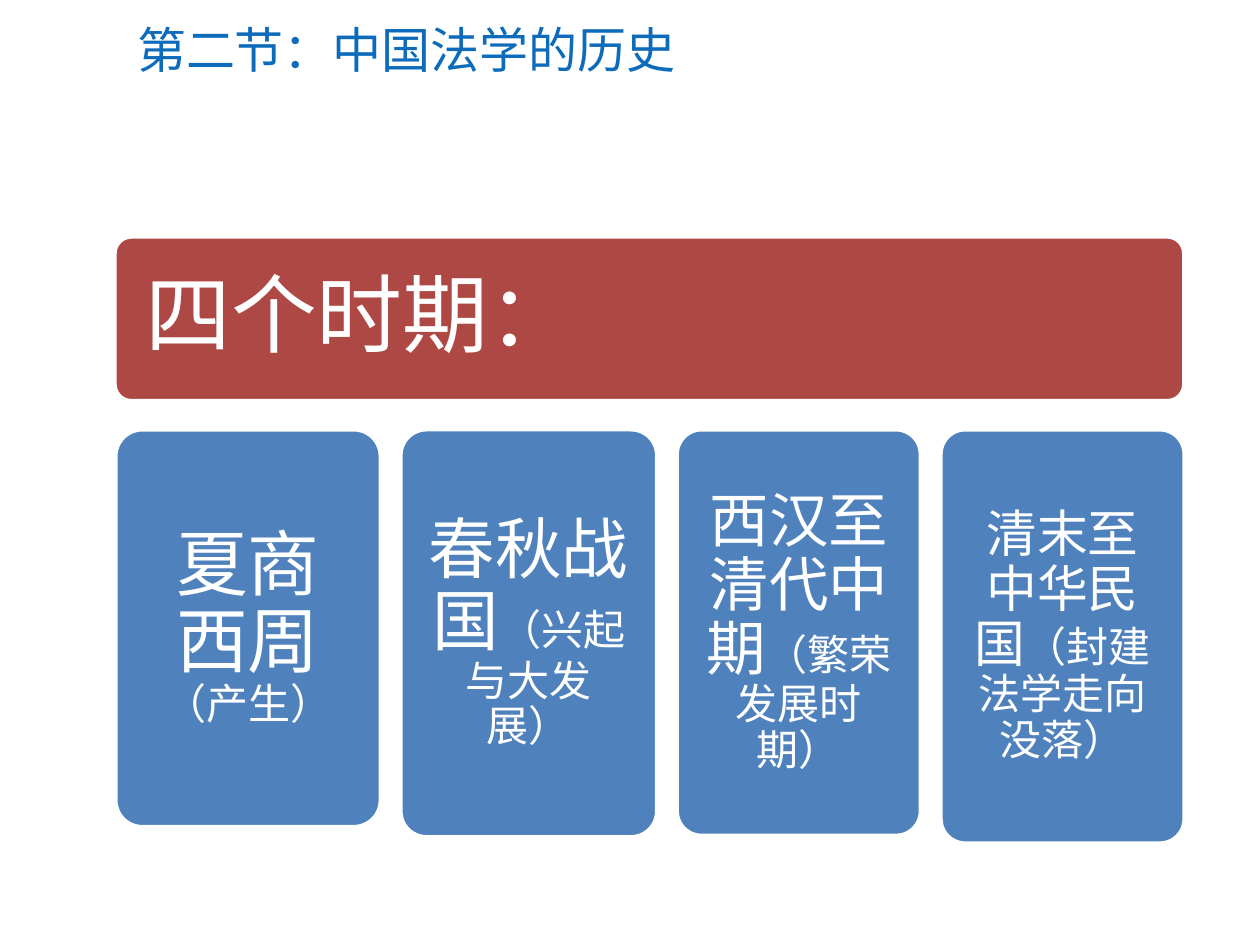
from dataclasses import dataclass

from pptx import Presentation
from pptx.dml.color import RGBColor
from pptx.enum.shapes import MSO_SHAPE
from pptx.enum.text import MSO_ANCHOR, PP_ALIGN
from pptx.util import Pt

ROUNDED = MSO_SHAPE.ROUNDED_RECTANGLE
MIDDLE = MSO_ANCHOR.MIDDLE
LEFT, CENTER = PP_ALIGN.LEFT, PP_ALIGN.CENTER

FONT = "Calibri"
COLORS = {"title": "0C6BBA", "banner": "AE4845", "card": "4F81BD", "white": "FFFFFF"}
NOTE_SIZE = 24
INSET_RATIO = 0.3  # text inset relative to the main font size
CARD_LEFT, CARD_TOP, CARD_GAP = 66.2, 245.6, 11.7


@dataclass
class Period:
    name: str
    note: str
    size: float
    width: float
    height: float


PERIODS = [
    Period("夏商西周", "（产生）", 41, 151.2, 226.8),
    Period("春秋战国", "（兴起与大发展）", 38, 146.2, 232.6),
    Period("西汉至清代中期", "（繁荣发展时期）", 34, 139, 231.8),
    Period("清末至中华民国", "（封建法学走向没落）", 29, 139, 236.2),
]


def rgb(name: str) -> RGBColor:
    return RGBColor.from_string(COLORS[name])


def add_title(s, text: str) -> None:
    tf = s.shapes.add_textbox(Pt(71.3), Pt(7.2), Pt(627.8), Pt(41.8)).text_frame
    tf.word_wrap = True
    tf.vertical_anchor = MIDDLE
    p = tf.paragraphs[0]
    p.text = text
    p.font.name, p.font.size = FONT, Pt(28)
    p.font.color.rgb = rgb("title")


def add_block(s, x: float, y: float, w: float, h: float, color: str,
              runs: list[tuple[str, float]], align: PP_ALIGN) -> None:
    """Draw a rounded block; runs holds (text, size) pairs, main text first."""
    sp = s.shapes.add_shape(ROUNDED, Pt(x), Pt(y), Pt(w), Pt(h))
    sp.adjustments[0] = 0.1
    sp.shadow.inherit = False
    sp.fill.solid()
    sp.fill.fore_color.rgb = rgb(color)
    sp.line.color.rgb = rgb("white")
    sp.line.width = Pt(2)

    tf = sp.text_frame
    tf.word_wrap = True
    tf.vertical_anchor = MIDDLE
    inset = Pt(INSET_RATIO * runs[0][1])
    tf.margin_left = tf.margin_right = tf.margin_top = tf.margin_bottom = inset
    p = tf.paragraphs[0]
    p.alignment = align
    p.line_spacing = 0.9
    p.font.name = FONT
    p.font.color.rgb = rgb("white")
    for text, size in runs:
        r = p.add_run()
        r.text = text
        r.font.size = Pt(size)


def main() -> None:
    prs = Presentation()
    prs.slide_width, prs.slide_height = Pt(720), Pt(540)
    s = prs.slides.add_slide(prs.slide_layouts[6])

    add_title(s, "第二节：中国法学的历史")
    add_block(s, 65.7, 135.4, 610.8, 93.6, "banner", [("四个时期：", 49)], LEFT)
    x = CARD_LEFT
    for period in PERIODS:
        runs = [(period.name, period.size), (period.note, NOTE_SIZE)]
        add_block(s, x, CARD_TOP, period.width, period.height, "card", runs, CENTER)
        x += period.width + CARD_GAP

    prs.save("out.pptx")


if __name__ == "__main__":
    main()
